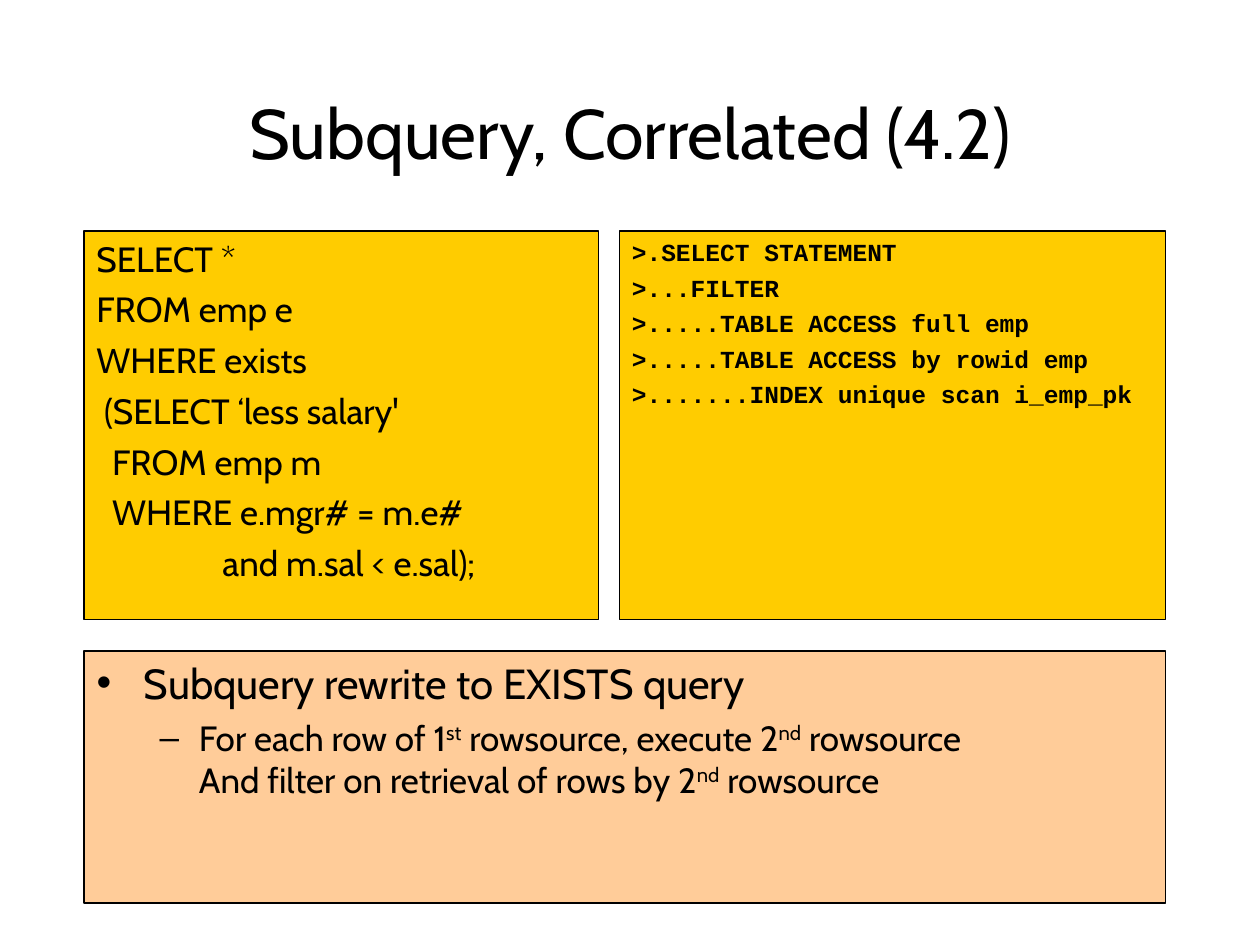
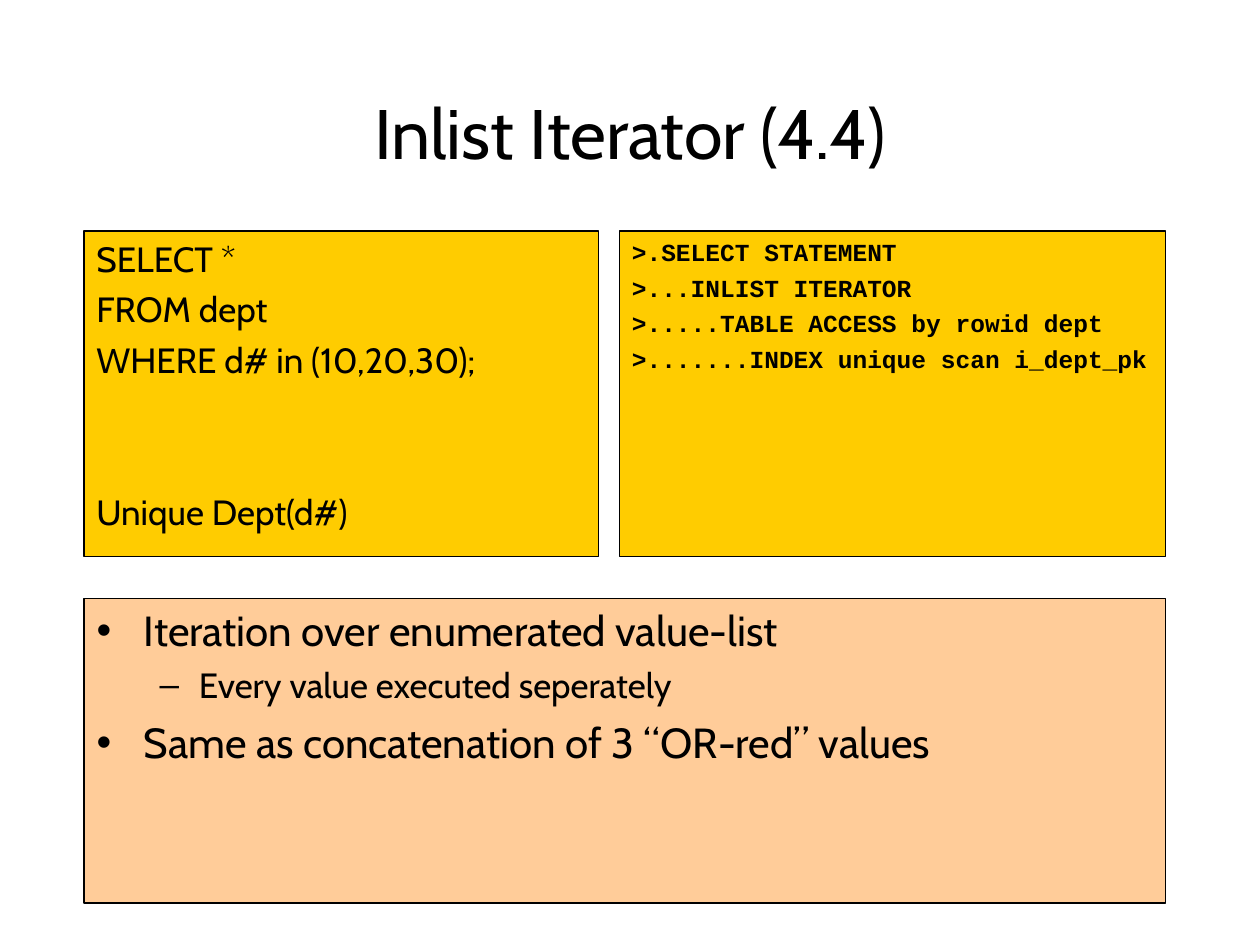
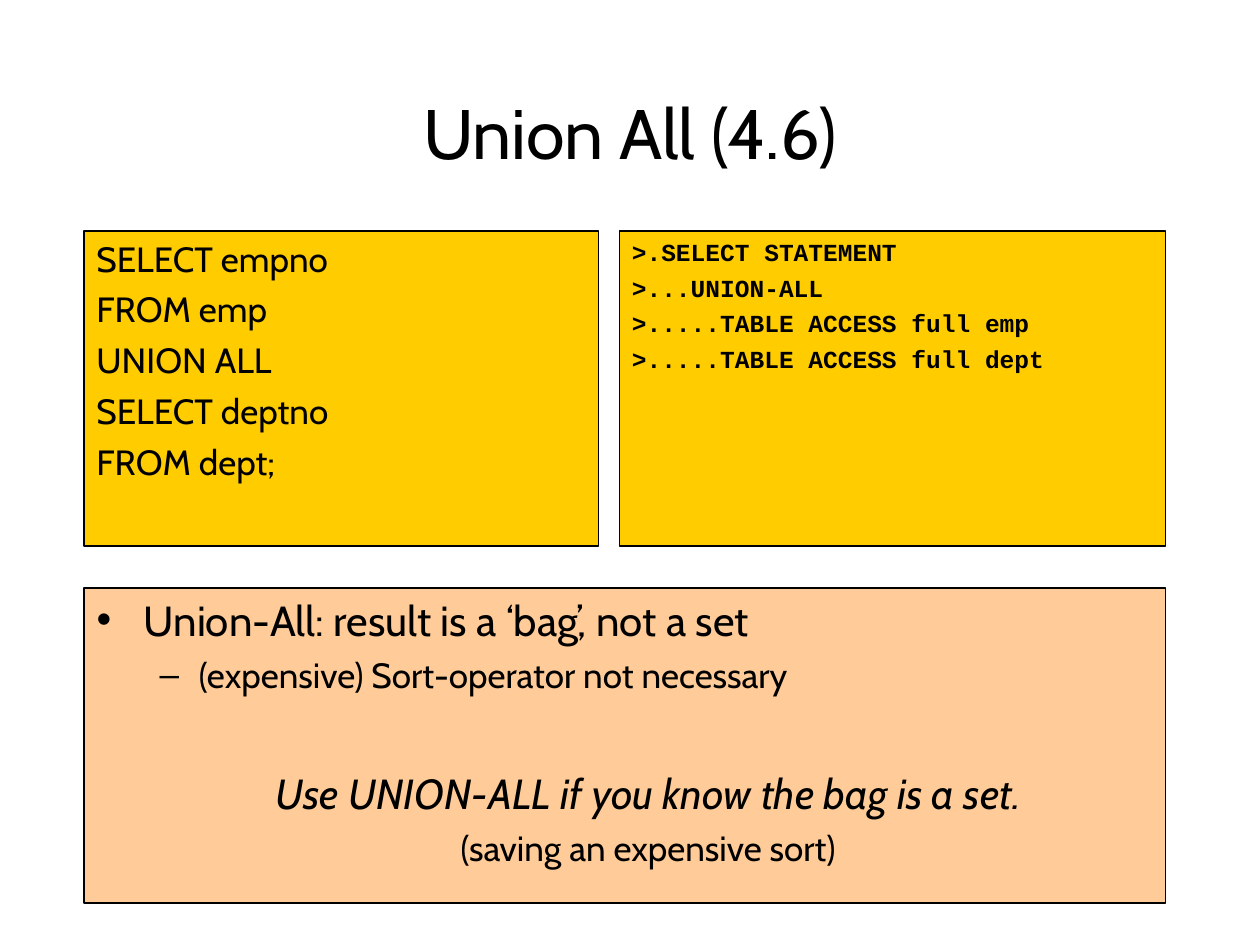
from copy import deepcopy

from lxml import etree
from pptx import Presentation
from pptx import util as u
from pptx.dml.color import RGBColor
from pptx.enum import shapes, text
from pptx.oxml.ns import qn

BLACK, GOLD, PEACH = "000000", "FFCC00", "FFCC99"
SANS, MONO = "Cabin", "Courier New"

LEFT, RIGHT, TOP, BOTTOM = 48, 666, 132, 516
PLAN_LEFT, GUTTER = 354, 12
TITLE_BOX = (54, 48, 612, 54)

QUERY = dict(size=20, before=5)
PLAN = dict(size=14, before=3.5, face=MONO, bold=True)
POINT = dict(size=24, before=6, bullet="•", margin=27, indent=-27)
DETAIL = dict(size=20, before=5, bullet="–", margin=58.5, indent=-22.5, level=1)
CENTRED = dict(margin=27, align=text.PP_ALIGN.CENTER)
MOTTO = dict(CENTRED, size=24, before=41, italic=True)
ASIDE = dict(CENTRED, size=20, before=5)

# Notes are (style, text); ^ encloses superscripts and \n breaks a line.
SLIDES = [
    dict(
        title="Subquery, Correlated (4.2)",
        code_height=222, notes_top=372,
        query=[(QUERY, line) for line in (
            "SELECT *",
            "FROM emp e",
            "WHERE exists",
            " (SELECT ‘less salary'",
            "  FROM emp m",
            "  WHERE e.mgr# = m.e#",
            "                and m.sal < e.sal);")],
        plan=[">.SELECT STATEMENT",
              ">...FILTER",
              ">.....TABLE ACCESS full emp",
              ">.....TABLE ACCESS by rowid emp",
              ">.......INDEX unique scan i_emp_pk"],
        notes=[(POINT, "Subquery rewrite to EXISTS query"),
               (DETAIL, "For each row of 1^st^ rowsource, execute 2^nd^ rowsource\n"
                        "And filter on retrieval of rows by 2^nd^ rowsource")],
    ),
    dict(
        title="Inlist Iterator (4.4)",
        code_height=186, notes_top=342,
        query=[(QUERY, "SELECT *"),
               (QUERY, "FROM dept"),
               (QUERY, "WHERE d# in (10,20,30);"),
               (dict(QUERY, before=63), "Unique Dept(d#)")],
        plan=[">.SELECT STATEMENT",
              ">...INLIST ITERATOR",
              ">.....TABLE ACCESS by rowid dept",
              ">.......INDEX unique scan i_dept_pk"],
        notes=[(POINT, "Iteration over enumerated value-list"),
               (DETAIL, "Every value executed seperately"),
               (POINT, "Same as concatenation of 3 “OR-red” values")],
    ),
    dict(
        title="Union All (4.6)",
        code_height=180, notes_top=336,
        query=[(QUERY, line) for line in (
            "SELECT empno", "FROM emp", "UNION ALL", "SELECT deptno", "FROM dept;")],
        plan=[">.SELECT STATEMENT",
              ">...UNION-ALL",
              ">.....TABLE ACCESS full emp",
              ">.....TABLE ACCESS full dept"],
        notes=[(POINT, "Union-All: result is a ‘bag’, not a set"),
               (DETAIL, "(expensive) Sort-operator not necessary"),
               (MOTTO, "Use UNION-ALL if you know the bag is a set."),
               (ASIDE, "(saving an expensive sort)")],
    ),
]


def rgb(color):
    return RGBColor.from_string(color)


def place(sp, left, top, width, height):
    for name, value in dict(left=left, top=top, width=width, height=height).items():
        setattr(sp, name, u.Pt(value))


def paint(sp, fill):
    sp.fill.solid()
    sp.fill.fore_color.rgb = rgb(fill)
    sp.line.color.rgb = rgb(BLACK)
    sp.line.width = u.Pt(0.75)


def format_paragraph(p, style, first):
    pPr = p._p.get_or_add_pPr()
    pPr.set("marL", str(u.Pt(style.get("margin", 0))))
    pPr.set("indent", str(u.Pt(style.get("indent", 0))))
    if "bullet" in style:
        etree.SubElement(pPr, qn("a:buChar")).set("char", style["bullet"])
    else:
        etree.SubElement(pPr, qn("a:buNone"))
    values = dict(level=style.get("level", 0), line_spacing=1.0, space_after=u.Pt(0),
                  space_before=u.Pt(0 if first else style["before"]),
                  alignment=style.get("align", text.PP_ALIGN.LEFT))
    for name, value in values.items():
        setattr(p, name, value)


def add_runs(p, style, content):
    font = dict(name=style.get("face", SANS), size=u.Pt(style["size"]),
                bold=style.get("bold", False), italic=style.get("italic", False))
    for n, line in enumerate(content.split("\n")):
        if n:
            p.add_line_break()
        for i, part in enumerate(line.split("^")):
            r = p.add_run()
            r.text = part
            for name, value in font.items():
                setattr(r.font, name, value)
            r.font.color.rgb = rgb(BLACK)
            if i % 2:
                r._r.get_or_add_rPr().set("baseline", "30000")
    for br in p._p.findall(qn("a:br")):
        br.append(deepcopy(p.runs[0]._r.rPr))


def write(sp, paragraphs, anchor=text.MSO_ANCHOR.TOP):
    tf = sp.text_frame
    values = dict(word_wrap=True, auto_size=text.MSO_AUTO_SIZE.NONE, vertical_anchor=anchor,
                  margin_left=u.Pt(7.2), margin_right=u.Pt(7.2),
                  margin_top=u.Pt(3.6), margin_bottom=u.Pt(3.6))
    for name, value in values.items():
        setattr(tf, name, value)
    for i, (style, content) in enumerate(paragraphs):
        p = tf.add_paragraph() if i else tf.paragraphs[0]
        format_paragraph(p, style, first=i == 0)
        add_runs(p, style, content)


def add_code_box(s, left, right, height, paragraphs):
    sp = s.shapes.add_shape(shapes.MSO_SHAPE.RECTANGLE, u.Pt(left), u.Pt(TOP),
                            u.Pt(right - left), u.Pt(height))
    sp.shadow.inherit = False
    paint(sp, GOLD)
    write(sp, paragraphs)


def add_slide(prs, data):
    s = prs.slides.add_slide(prs.slide_layouts[1])
    title, notes = s.placeholders
    place(title, *TITLE_BOX)
    write(title, [(dict(size=40, before=0, align=text.PP_ALIGN.CENTER), data["title"])],
          text.MSO_ANCHOR.MIDDLE)

    top = data["notes_top"]
    place(notes, LEFT, top, RIGHT - LEFT, BOTTOM - top)
    paint(notes, PEACH)
    write(notes, data["notes"])

    height = data["code_height"]
    add_code_box(s, PLAN_LEFT, RIGHT, height, [(PLAN, line) for line in data["plan"]])
    add_code_box(s, LEFT, PLAN_LEFT - GUTTER, height, data["query"])


def main():
    prs = Presentation()
    prs.slide_width, prs.slide_height = u.Pt(720), u.Pt(540)
    for data in SLIDES:
        add_slide(prs, data)
    prs.save("out.pptx")


if __name__ == "__main__":
    main()
